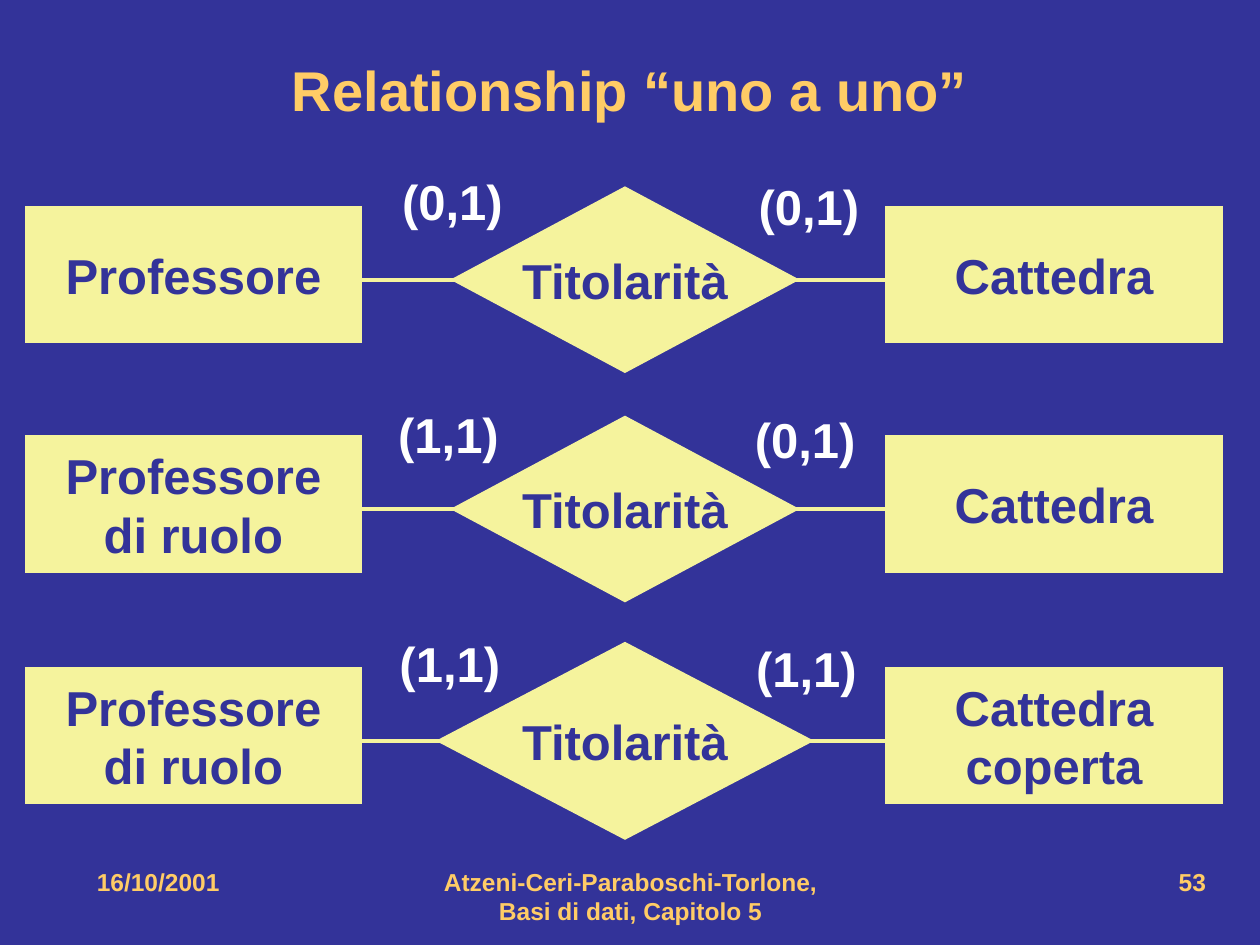
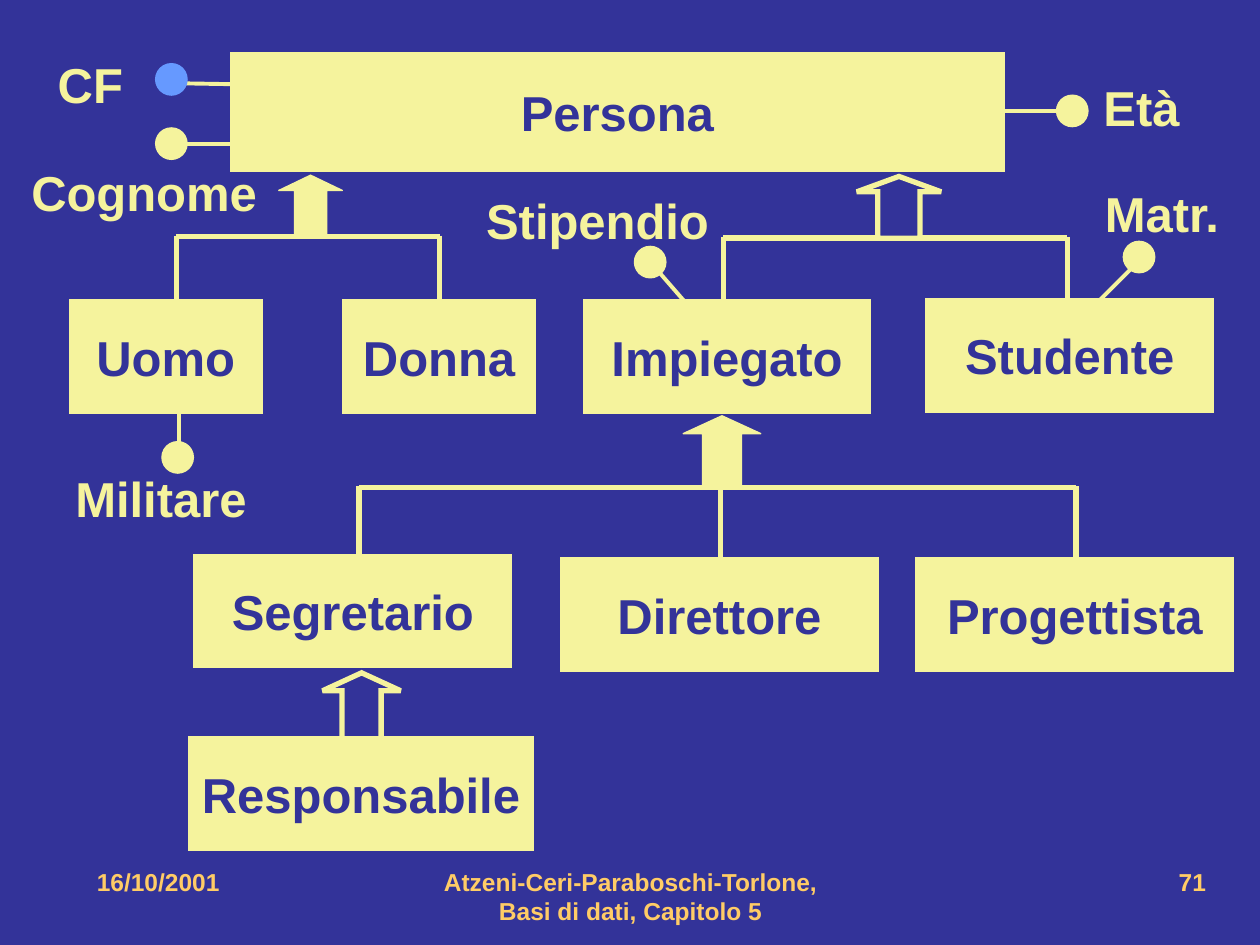
from dataclasses import dataclass

from lxml.etree import SubElement
from pptx import Presentation
from pptx.dml.color import RGBColor
from pptx.enum.shapes import MSO_CONNECTOR as Connector, MSO_SHAPE as Shape
from pptx.enum.text import MSO_ANCHOR as Anchor, MSO_AUTO_SIZE as AutoSize, PP_ALIGN as Align
from pptx.oxml.ns import qn
from pptx.util import Inches, Pt


@dataclass(frozen=True)
class Theme:
    night: str = "333399"
    cream: str = "F5F39D"
    gold: str = "FFCC66"
    white: str = "FFFFFF"
    blue: str = "6699FF"
    font: str = "Arial"
    title_size: float = 32
    body_size: float = 28
    footer_size: float = 14
    edge: float = 0.75
    link: float = 2.25
    branch: float = 3


THEME = Theme()

DATE = "16/10/2001"
CREDIT = "Atzeni-Ceri-Paraboschi-Torlone, Basi di dati, Capitolo 5"

TITLE = "Relationship “uno a uno”"
RELATIONSHIP = "Titolarità"
ROWS = [
    {"axis": 2.22, "diamond": (2.75, 1.47), "entities": ("Professore", "Cattedra"),
     "cardinalities": ("(0,1)", "(0,1)"), "cardinality_at": (3.09, 1.31)},
    {"axis": 4.04, "diamond": (2.75, 1.47), "entities": ("Professore\ndi ruolo", "Cattedra"),
     "cardinalities": ("(1,1)", "(0,1)"), "cardinality_at": (3.06, 3.16)},
    {"axis": 5.88, "diamond": (2.98, 1.56), "entities": ("Professore\ndi ruolo", "Cattedra\ncoperta"),
     "cardinalities": ("(1,1)", "(1,1)"), "cardinality_at": (3.07, 4.98)},
]
ENTITY_LEFTS = (0.2, 7.03)
ENTITY_SIZE = (2.67, 1.08)
DIAMOND_CENTRE = 4.96
CARDINALITY_STEP = (2.83, 0.04)

ENTITIES = [
    ("Persona", 1.83, 0.42, 6.14, 0.94),
    ("Uomo", 0.55, 2.38, 1.53, 0.9),
    ("Donna", 2.72, 2.38, 1.53, 0.9),
    ("Impiegato", 4.63, 2.38, 2.28, 0.9),
    ("Studente", 7.35, 2.37, 2.28, 0.9),
    ("Segretario", 1.54, 4.4, 2.52, 0.9),
    ("Direttore", 4.45, 4.43, 2.52, 0.9),
    ("Progettista", 7.27, 4.43, 2.52, 0.9),
    ("Responsabile", 1.5, 5.85, 2.73, 0.9),
]
BRANCHES = [
    (1.88, (1.4, 3.49), 0.5),
    (1.89, (5.74, 8.47), 0.5),
    (3.87, (2.85, 5.72, 8.54), 0.57),
]
GENERALIZATIONS = [
    ((2.21, 1.39, 0.51, 0.49), True),
    ((6.8, 1.4, 0.67, 0.49), False),
    ((5.42, 3.3, 0.62, 0.57), True),
    ((2.56, 5.34, 0.62, 0.57), False),
]
ATTRIBUTES = [
    ("CF", (0.36, 0.38, 0.72), (1.36, 0.63), ((1.36, 0.66), (1.93, 0.67)), THEME.blue),
    ("Cognome", (0.15, 1.24, 1.99), (1.36, 1.14), ((1.36, 1.14), (1.93, 1.14)), THEME.cream),
    ("Età", (8.66, 0.57, 0.9), (8.51, 0.88), ((8.51, 0.88), (7.94, 0.88)), THEME.cream),
    ("Militare", (0.5, 3.67, 1.56), (1.41, 3.63), ((1.42, 3.64), (1.42, 3.08)), THEME.cream),
    ("Stipendio", (3.76, 1.46, 1.97), (5.16, 2.08), ((5.17, 2.09), (5.5, 2.47)), THEME.cream),
    ("Matr.", (8.67, 1.41, 1.13), (9.04, 2.04), ((9.03, 2.08), (8.58, 2.53)), THEME.cream),
]
DOT = 0.25
LABEL_HEIGHT = 0.57


def rgb(color):
    return RGBColor.from_string(color)


def inches(*lengths):
    return [Inches(length) for length in lengths]


def write(holder, text, color, size=THEME.body_size, align=Align.CENTER,
          anchor=Anchor.MIDDLE, wrap=False):
    frame = holder.text_frame
    frame.text = text
    frame.word_wrap = wrap
    frame.vertical_anchor = anchor
    for paragraph in frame.paragraphs:
        paragraph.alignment = align
        for run in paragraph.runs:
            run.font.name = THEME.font
            run.font.size = Pt(size)
            run.font.bold = True
            run.font.color.rgb = rgb(color)


def add_label(slide, text, box, color, **style):
    label = slide.shapes.add_textbox(*inches(*box))
    write(label, text, color, **style)
    return label


def add_tag(slide, text, left, top, width, color, **style):
    tag = add_label(slide, text, (left, top, width, LABEL_HEIGHT), color, **style)
    tag.text_frame.auto_size = AutoSize.SHAPE_TO_FIT_TEXT


def add_figure(slide, kind, box, fill=THEME.cream, edge=None, width=THEME.edge, text=None):
    figure = slide.shapes.add_shape(kind, *inches(*box))
    figure.shadow.inherit = False
    figure.fill.solid()
    figure.fill.fore_color.rgb = rgb(fill)
    figure.line.color.rgb = rgb(edge or fill)
    figure.line.width = Pt(width)
    SubElement(figure._element.spPr.find(qn("a:ln")), qn("a:miter"), lim="800000")
    if text:
        write(figure, text, THEME.night)
    return figure


def add_link(slide, start, end, width=THEME.link):
    link = slide.shapes.add_connector(Connector.STRAIGHT, *inches(*start, *end))
    link.line.color.rgb = rgb(THEME.cream)
    link.line.width = Pt(width)
    SubElement(link._element.spPr, qn("a:effectLst"))


def add_page(deck, number):
    slide = deck.slides.add_slide(deck.slide_layouts[6])
    slide.background.fill.solid()
    slide.background.fill.fore_color.rgb = rgb(THEME.night)
    for text, left, width, align in (
        (CREDIT, 3.42, 3.17, Align.CENTER),
        (str(number), 7.17, 2.5, Align.RIGHT),
        (DATE, 0.67, 2.17, Align.LEFT),
    ):
        add_label(slide, text, (left, 6.83, width, 0.5), THEME.gold,
                  size=THEME.footer_size, align=align, anchor=Anchor.TOP, wrap=True)
    return slide


def build_relationships(deck):
    slide = add_page(deck, 53)
    add_label(slide, TITLE, (0.75, 0.33, 8.5, 0.75), THEME.gold,
              size=THEME.title_size, wrap=True)
    for row in ROWS:
        axis = row["axis"]
        width, height = row["diamond"]
        add_link(slide, (2.7, axis), (7.28, axis))
        add_figure(slide, Shape.DIAMOND,
                   (DIAMOND_CENTRE - width / 2, axis - height / 2, width, height),
                   text=RELATIONSHIP)
        for entity, left in zip(row["entities"], ENTITY_LEFTS):
            add_figure(slide, Shape.RECTANGLE, (left, axis - 0.58, *ENTITY_SIZE), text=entity)
        left, top = row["cardinality_at"]
        step_x, step_y = CARDINALITY_STEP
        for side, cardinality in enumerate(row["cardinalities"]):
            add_tag(slide, cardinality, left + side * step_x, top + side * step_y, 1, THEME.white)


def build_hierarchy(deck):
    slide = add_page(deck, 71)
    for axis, children, drop in BRANCHES:
        add_link(slide, (children[0], axis), (children[-1], axis), THEME.branch)
        for child in children:
            add_link(slide, (child, axis - 0.01), (child, axis + drop), THEME.branch)
    for box, total in GENERALIZATIONS:
        arrow = add_figure(slide, Shape.UP_ARROW, box, THEME.cream if total else THEME.night,
                           THEME.cream, THEME.edge if total else THEME.branch)
        arrow.adjustments[0], arrow.adjustments[1] = 0.5, 0.25
    for entity, *box in ENTITIES:
        add_figure(slide, Shape.RECTANGLE, box, text=entity)
    for attribute, (left, top, width), (x, y), (start, end), color in ATTRIBUTES:
        add_link(slide, start, end)
        add_figure(slide, Shape.OVAL, (x - DOT / 2, y - DOT / 2, DOT, DOT), color)
        add_tag(slide, attribute, left, top, width, THEME.cream,
                align=Align.LEFT, anchor=Anchor.TOP)


def main():
    deck = Presentation()
    deck.slide_width, deck.slide_height = inches(10, 7.5)
    build_relationships(deck)
    build_hierarchy(deck)
    deck.save("out.pptx")


if __name__ == "__main__":
    main()
